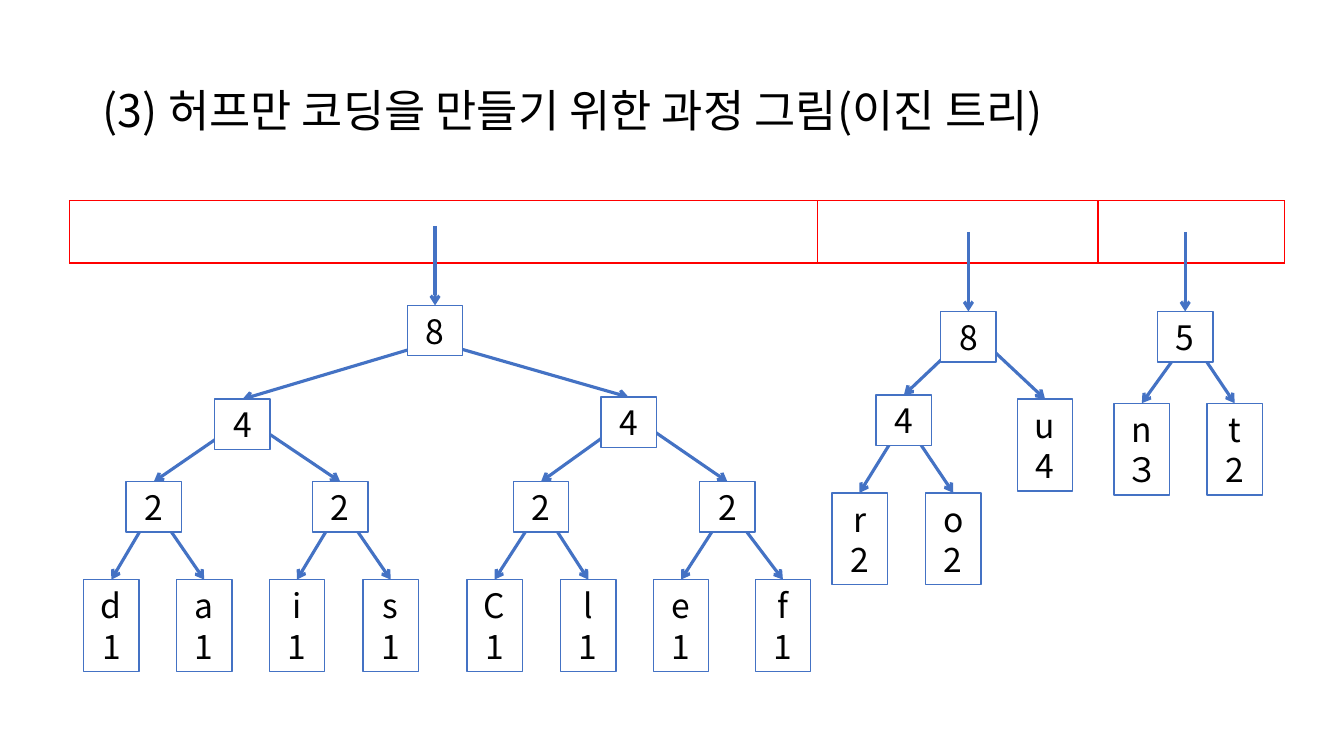
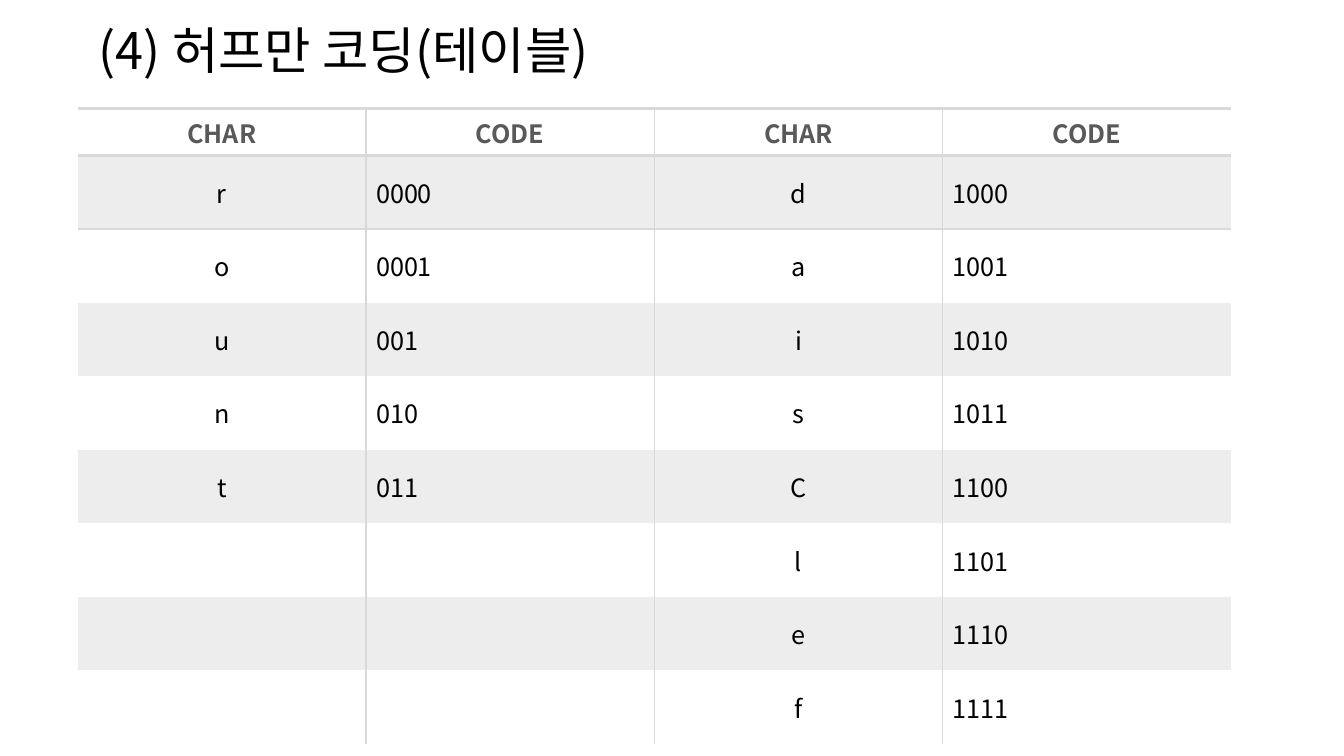
from dataclasses import dataclass

from lxml import etree
from pptx import Presentation
from pptx.dml.color import RGBColor
from pptx.enum.shapes import MSO_CONNECTOR, MSO_SHAPE
from pptx.enum.text import MSO_ANCHOR, MSO_AUTO_SIZE, PP_ALIGN
from pptx.oxml.ns import qn
from pptx.util import Inches, Pt


@dataclass(frozen=True)
class Theme:
    font: str = "Noto Sans CJK KR"
    text: str = "000000"
    header: str = "595959"
    paper: str = "FFFFFF"
    accent: str = "4472C4"
    band: str = "EDEDED"
    rule: str = "D9D9D9"
    alert: str = "FF0000"
    tree_title_size: float = 32
    code_title_size: float = 36
    node_size: float = 24
    cell_size: float = 18
    thin: float = 1
    thick: float = 2.25


@dataclass(frozen=True)
class Node:
    """A tree node; fork is where its branches start, from its top left corner."""
    label: str
    left: float
    top: float
    children: tuple = ()
    fork: tuple = (0.28, 0.25)


THEME = Theme()
TITLE_ONLY = 5
NO_TABLE_STYLE = "{2D5ABB26-0587-4C30-8999-92F81FD0307C}"
NODE_WIDTH, INNER_HEIGHT, LEAF_HEIGHT = 0.55, 0.5, 0.91
TRUNK_LENGTH = 0.79
SIDE_FORK = (0.31, 0.19)
PAIR_TOP, LEAF_TOP = 4.78, 5.75


def leaf(char, count, left, top=LEAF_TOP):
    return Node(f"{char}\v{count}", left, top)


ROOTS = (
    Node("8", 4.04, 3.03, (
        Node("4", 2.13, 3.96, (
            Node("2", 1.25, PAIR_TOP, (leaf("d", "1", 0.83), leaf("a", "1", 1.75))),
            Node("2", 3.1, PAIR_TOP, (leaf("i", "1", 2.67), leaf("s", "1", 3.6))),
        ), SIDE_FORK),
        Node("4", 5.96, 3.94, (
            Node("2", 5.09, PAIR_TOP, (leaf("C", "1", 4.63), leaf("l", "1", 5.56))),
            Node("2", 6.94, PAIR_TOP, (leaf("e", "1", 6.48), leaf("f", "1", 7.49))),
        ), SIDE_FORK),
    ), (0.28, 0.36)),
    Node("8", 9.33, 3.09, (
        Node("4", 8.69, 3.92, (leaf("r", "2", 8.25, 4.89), leaf("o", "2", 9.18, 4.89))),
        leaf("u", "4", 10.09, 3.96),
    ), SIDE_FORK),
    Node("5", 11.48, 3.09, (leaf("n", "３", 11.05, 4), leaf("t", "2", 11.97, 4)),
         (0.32, 0.25)),
)

HEADINGS = ("CHAR", "CODE") * 2
LEFT_CODES = (("r", "0000"), ("o", "0001"), ("u", "001"), ("n", "010"), ("t", "011"))
RIGHT_CODES = (("d", "1000"), ("a", "1001"), ("i", "1010"), ("s", "1011"),
               ("C", "1100"), ("l", "1101"), ("e", "1110"), ("f", "1111"))


def color(value):
    return RGBColor.from_string(value)


def write(frame, text, size, ink=THEME.text, bold=False, align=PP_ALIGN.LEFT,
          line_spacing=None):
    frame.text = text
    for para in frame.paragraphs:
        para.alignment = align
        para.line_spacing = line_spacing
        for span in para.runs:
            font = span.font
            font.size, font.bold, font.name = Pt(size), bold, THEME.font
            font.color.rgb = color(ink)
            east_asian = etree.SubElement(span._r.get_or_add_rPr(), qn("a:ea"))
            east_asian.set("typeface", THEME.font)


def add_page(deck, title, left, top, size):
    page = deck.slides.add_slide(deck.slide_layouts[TITLE_ONLY])
    box = page.shapes.title
    box.left, box.top = Inches(left), Inches(top)
    box.width, box.height = Inches(11.5), Inches(1.45)
    frame = box.text_frame
    frame.word_wrap = True
    frame.auto_size = MSO_AUTO_SIZE.NONE
    frame.vertical_anchor = MSO_ANCHOR.MIDDLE
    write(frame, title, size, line_spacing=0.9)
    return page


def add_plain_table(page, left, top, widths, heights):
    frame = page.shapes.add_table(len(heights), len(widths), Inches(left), Inches(top),
                                  Inches(sum(widths)), Inches(sum(heights)))
    table = frame.table
    table.horz_banding = False
    table._tbl.tblPr.find(qn("a:tableStyleId")).text = NO_TABLE_STYLE
    for column, width in zip(table.columns, widths):
        column.width = Inches(width)
    for row, height in zip(table.rows, heights):
        row.height = Inches(height)
    return table


def set_borders(cell, ink, **weights):
    """Draw the sides named L, R, T and B at the given weights in points."""
    properties = cell._tc.get_or_add_tcPr()
    sides = [side for side in "LRTB" if side in weights]
    for position, side in enumerate(sides):
        line = etree.Element(qn(f"a:ln{side}"), w=str(Pt(weights[side])))
        fill = etree.SubElement(line, qn("a:solidFill"))
        etree.SubElement(fill, qn("a:srgbClr"), val=ink)
        properties.insert(position, line)


def add_arrow(page, start, end):
    arrow = page.shapes.add_connector(
        MSO_CONNECTOR.STRAIGHT, *(Inches(value) for value in (*start, *end)))
    arrow.line.color.rgb = color(THEME.accent)
    arrow.line.width = Pt(THEME.thick)
    etree.SubElement(arrow.line._get_or_add_ln(), qn("a:tailEnd"), type="arrow")
    etree.SubElement(arrow._element.spPr, qn("a:effectLst"))


def add_node(page, node):
    height = INNER_HEIGHT if node.children else LEAF_HEIGHT
    box = page.shapes.add_shape(MSO_SHAPE.RECTANGLE, Inches(node.left), Inches(node.top),
                                Inches(NODE_WIDTH), Inches(height))
    box.shadow.inherit = False
    box.fill.solid()
    box.fill.fore_color.rgb = color(THEME.paper)
    box.line.color.rgb = color(THEME.accent)
    box.line.width = Pt(THEME.thin)
    box.text_frame.word_wrap = True
    box.text_frame.vertical_anchor = MSO_ANCHOR.MIDDLE
    write(box.text_frame, node.label, THEME.node_size, align=PP_ALIGN.CENTER)


def top_center(node):
    return node.left + NODE_WIDTH / 2, node.top


def add_tree(page, node):
    """Draw the branches first, so that the node covers where they start."""
    for child in node.children:
        start = node.left + node.fork[0], node.top + node.fork[1]
        add_arrow(page, start, top_center(child))
        add_tree(page, child)
    add_node(page, node)


def add_tree_page(deck):
    page = add_page(deck, "(3) 허프만 코딩을 만들기 위한 과정 그림(이진 트리)",
                    0.92, 0.4, THEME.tree_title_size)
    queue = add_plain_table(page, 0.69, 1.99, (7.42, 2.78, 1.85), (0.62,))
    for cell in queue.iter_cells():
        cell.fill.solid()
        cell.fill.fore_color.rgb = color(THEME.paper)
        set_borders(cell, THEME.alert, **dict.fromkeys("LRTB", THEME.thin))
    for root in ROOTS:
        add_tree(page, root)
        center, top = top_center(root)
        add_arrow(page, (center, top - TRUNK_LENGTH), (center, top))


def fill_code_cell(cell, text, row, column):
    is_header = row == 0
    is_centered = is_header or HEADINGS[column] == "CHAR"
    cell.vertical_anchor = MSO_ANCHOR.MIDDLE
    write(cell.text_frame, text, THEME.cell_size, bold=is_header,
          ink=THEME.header if is_header else THEME.text,
          align=PP_ALIGN.CENTER if is_centered else PP_ALIGN.LEFT)
    if row % 2:
        cell.fill.solid()
        cell.fill.fore_color.rgb = color(THEME.band)
    else:
        cell.fill.background()
    weights = {}
    if column > 0:
        weights["L"] = THEME.thin
    if column < len(HEADINGS) - 1:
        weights["R"] = THEME.thin
    if row <= 1:
        weights["T"] = THEME.thick
    if is_header:
        weights["B"] = THEME.thick
    set_borders(cell, THEME.rule, **weights)


def add_code_page(deck):
    page = add_page(deck, "(4) 허프만 코딩(테이블)", 0.88, -0.2, THEME.code_title_size)
    blanks = (("", ""),) * (len(RIGHT_CODES) - len(LEFT_CODES))
    rows = [HEADINGS] + [left + right
                         for left, right in zip(LEFT_CODES + blanks, RIGHT_CODES)]
    table = add_plain_table(page, 0.77, 1.08, (2.86,) * len(HEADINGS),
                            (0.4,) + (0.73,) * len(RIGHT_CODES))
    for row, texts in enumerate(rows):
        for column, text in enumerate(texts):
            fill_code_cell(table.cell(row, column), text, row, column)


def main():
    deck = Presentation()
    deck.slide_width, deck.slide_height = Inches(13.33), Inches(7.5)
    add_tree_page(deck)
    add_code_page(deck)
    deck.save("out.pptx")


if __name__ == "__main__":
    main()
